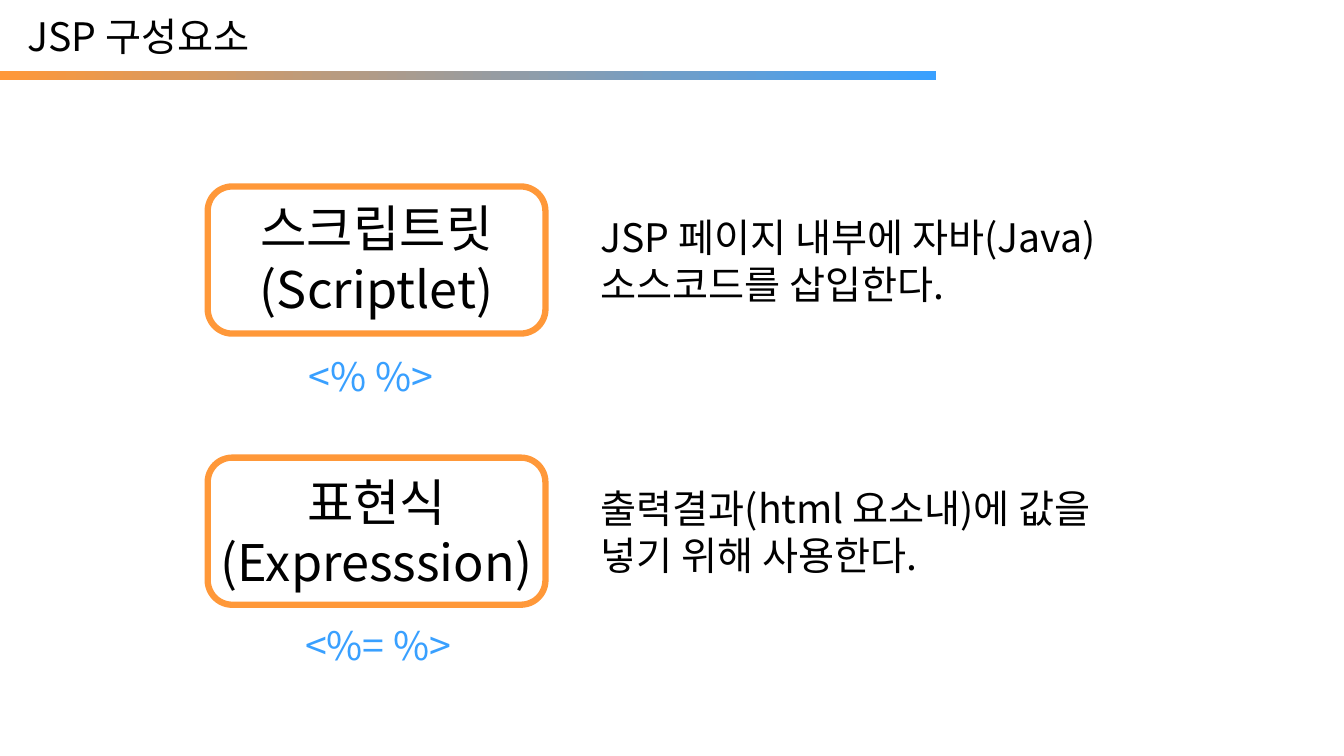
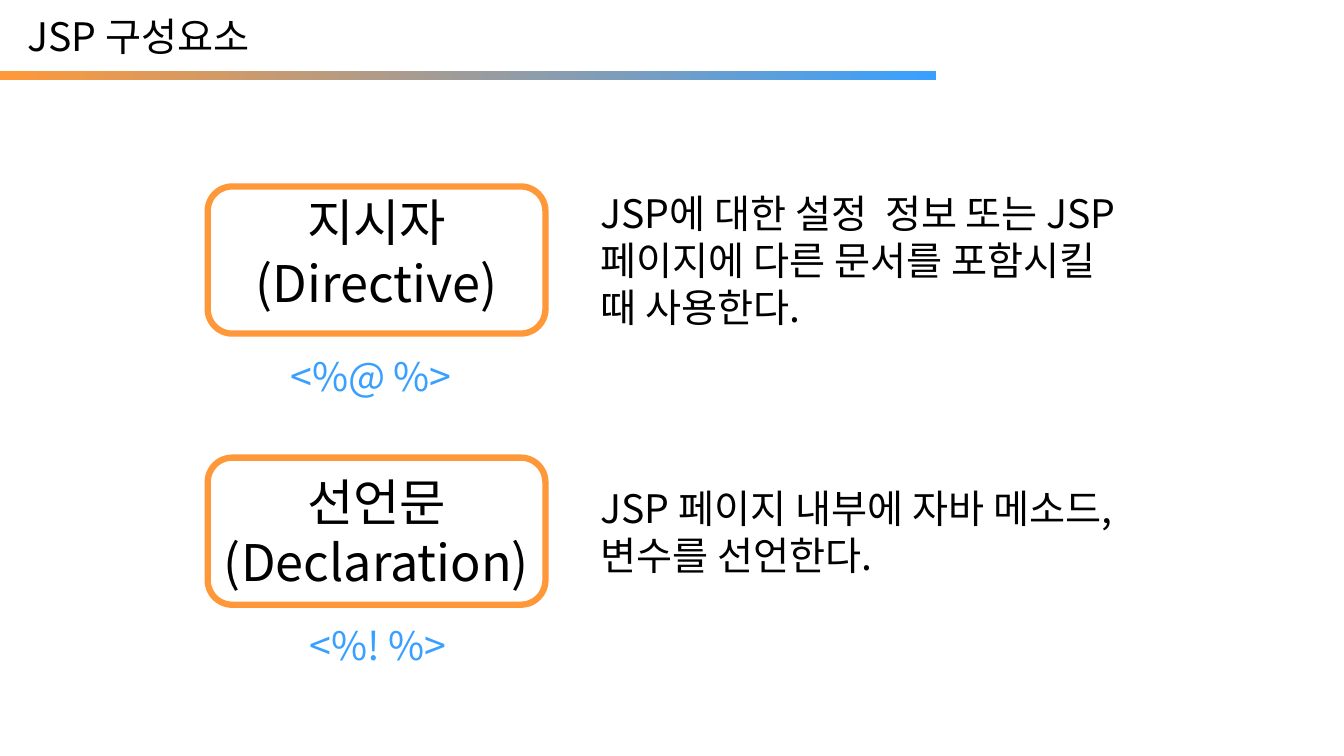
import pptx
import pptx.dml.color
import pptx.enum.shapes
import pptx.enum.text
import pptx.oxml.ns
import pptx.util

Inches = pptx.util.Inches
Pt = pptx.util.Pt
Align = pptx.enum.text.PP_ALIGN
Anchor = pptx.enum.text.MSO_ANCHOR
Shape = pptx.enum.shapes.MSO_SHAPE

FONT = "Noto Sans CJK KR"
COLORS = {"text": "000000", "orange": "FF9839", "blue": "39A0FF"}
TITLE = "JSP 구성요소"
CARD_TOPS = (1.85, 4.54)
CARD_HIGH = 1.46
TAG_SPOTS = ((2.1, 3.44, 3.16), (2.29, 6.11, 2.92))

# Each card: label lines, tag, description, bottom inset of the label
SLIDES = (
    (
        (["스크립트릿(Scriptlet)"], "<% %>",
         "JSP 페이지 내부에 자바(Java) 소스코드를 삽입한다.", 0.04),
        (["표현식(Expresssion)"], "<%= %>",
         "출력결과(html 요소내)에 값을 넣기 위해 사용한다.", 0),
    ),
    (
        (["지시자(Directive)"], "<%@ %>",
         "JSP에 대한 설정  정보 또는 JSP 페이지에 다른 문서를 포함시킬 때 사용한다.", 0.16),
        (["선언문", "(Declaration)"], "<%! %>",
         "JSP 페이지 내부에 자바 메소드, 변수를 선언한다.", 0),
    ),
)


def color(name):
    return pptx.dml.color.RGBColor.from_string(COLORS[name])


def write(shape, lines, size=28, hue="text", align=Align.LEFT):
    frame = shape.text_frame
    frame.word_wrap = True
    frame.auto_size = pptx.enum.text.MSO_AUTO_SIZE.NONE
    frame.vertical_anchor = Anchor.MIDDLE
    frame.text = "\n".join(lines)
    for para in frame.paragraphs:
        para.alignment = align
        para.line_spacing = 1.0
        font = para.font
        font.name, font.size, font.bold = FONT, Pt(size), False
        font.color.rgb = color(hue)
        # East Asian glyphs take their typeface from a:ea
        props = font._element
        east = props.makeelement(pptx.oxml.ns.qn("a:ea"), {"typeface": FONT})
        props.find(pptx.oxml.ns.qn("a:latin")).addnext(east)


def add_text(slide, box, text, **style):
    shape = slide.shapes.add_textbox(*map(Inches, box))
    write(shape, [text], **style)


def add_title(slide):
    title = slide.shapes.title
    title.left, title.top = Inches(0.17), Inches(0.07)
    title.width, title.height = Inches(9.08), Inches(0.57)
    write(title, [TITLE])


def add_band(slide):
    band = slide.shapes.add_shape(
        Shape.RECTANGLE, 0, Inches(0.7), Inches(9.28), Inches(0.09))
    band.shadow.inherit = False
    band.line.fill.background()
    band.fill.gradient()
    band.fill.gradient_angle = 0
    for stop, place, hue in zip(
            band.fill.gradient_stops, (0, 1), ("orange", "blue")):
        stop.position = place
        stop.color.rgb = color(hue)


def add_label(slide, top, lines, inset):
    label = slide.shapes.add_shape(
        Shape.ROUNDED_RECTANGLE, Inches(2.06), Inches(top),
        Inches(3.35), Inches(CARD_HIGH))
    label.shadow.inherit = False
    label.fill.background()
    label.line.color.rgb = color("orange")
    label.line.width = Pt(4.5)
    frame = label.text_frame
    frame.margin_left = frame.margin_right = frame.margin_top = 0
    frame.margin_bottom = Inches(inset)
    write(label, lines, size=36, align=Align.CENTER)


def add_card(slide, top, spot, card):
    lines, tag, text, inset = card
    add_label(slide, top, lines, inset)
    add_text(slide, (*spot, 0.57), tag, hue="blue", align=Align.CENTER)
    add_text(slide, (5.86, top, 5.46, CARD_HIGH), text)


def main():
    deck = pptx.Presentation()
    deck.slide_width, deck.slide_height = Inches(13.33), Inches(7.5)
    for cards in SLIDES:
        slide = deck.slides.add_slide(deck.slide_layouts.get_by_name("Title Only"))
        add_title(slide)
        add_band(slide)
        for top, spot, card in zip(CARD_TOPS, TAG_SPOTS, cards):
            add_card(slide, top, spot, card)
    deck.save("out.pptx")


if __name__ == "__main__":
    main()
